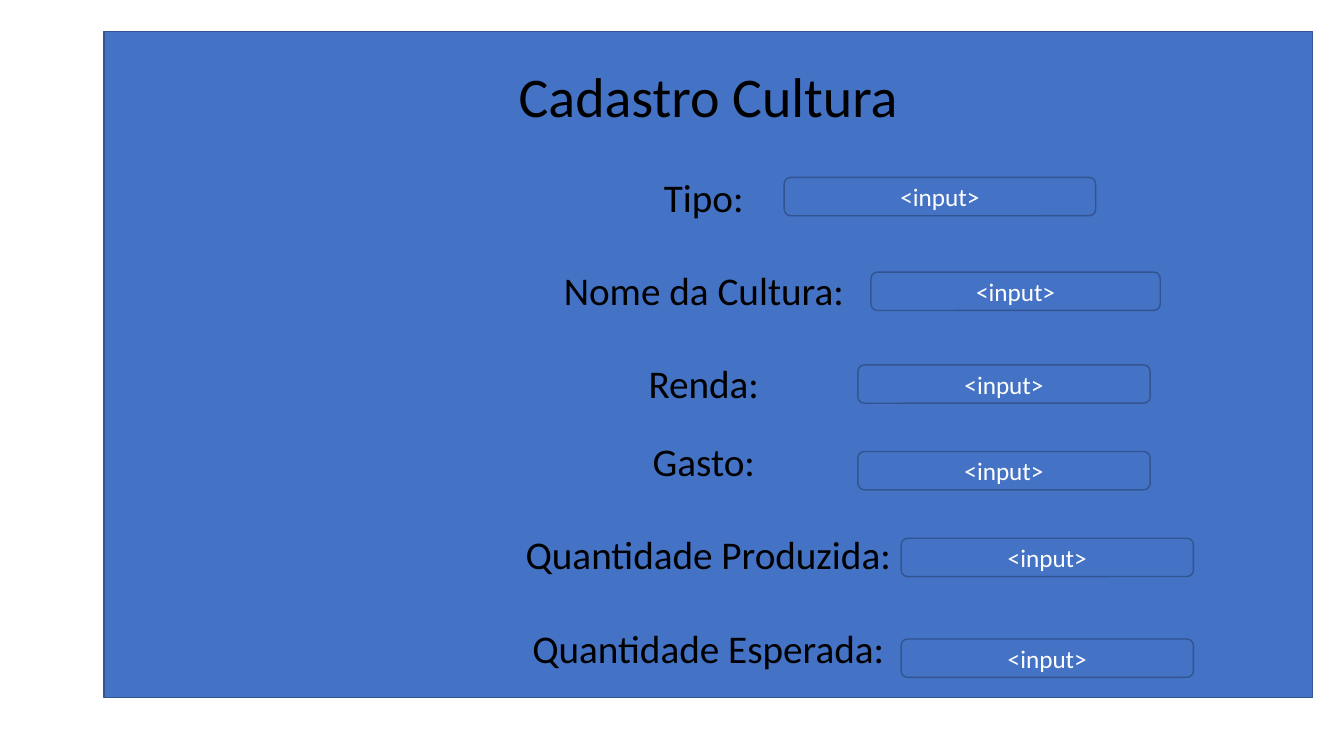
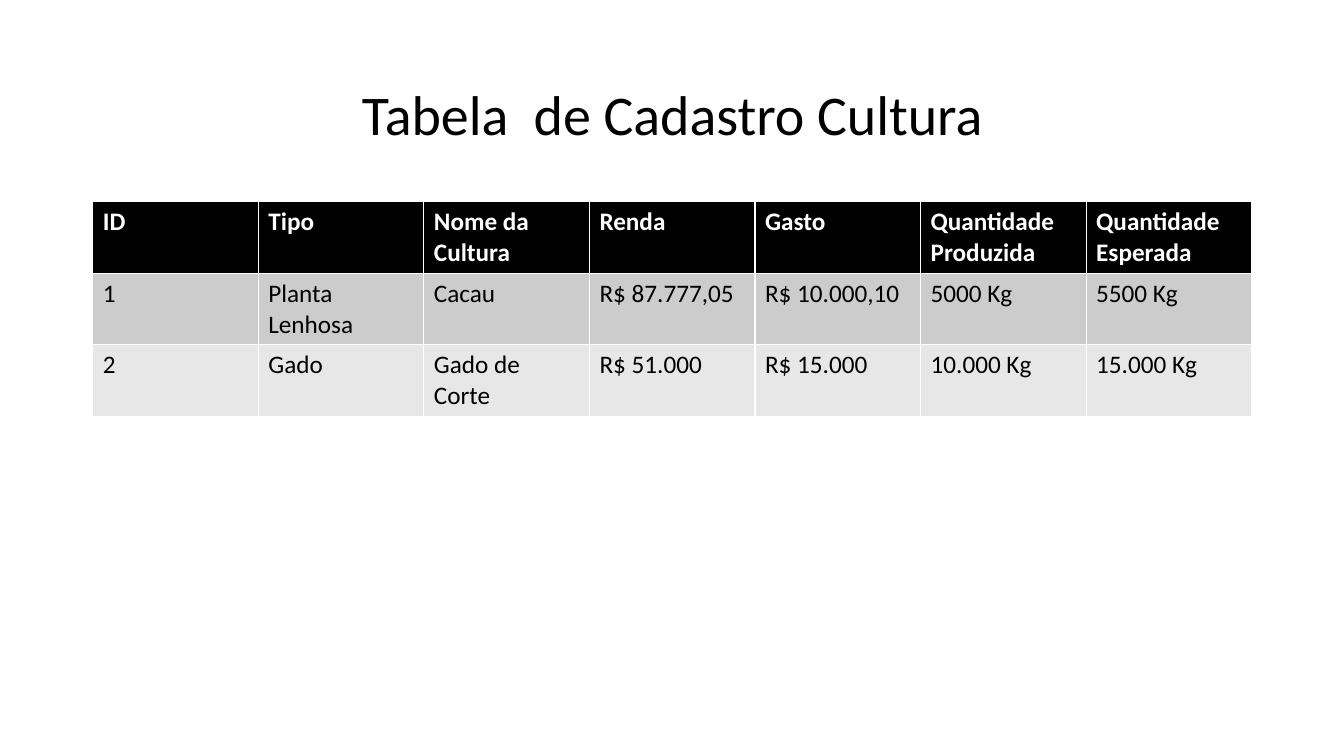
from pptx import Presentation
from pptx.dml.color import RGBColor
from pptx.enum.shapes import MSO_SHAPE as Shape
from pptx.enum.text import MSO_ANCHOR as Anchor, MSO_AUTO_SIZE as Fit, PP_ALIGN as Align
from pptx.oxml.ns import qn
from pptx.util import Inches, Pt

BLUE = RGBColor(0x44, 0x72, 0xC4)
NAVY = RGBColor(0x32, 0x54, 0x91)
BLACK = RGBColor(0, 0, 0)
WHITE = RGBColor(0xFF, 0xFF, 0xFF)
GREY = RGBColor(0xCC, 0xCC, 0xCC)
PALE = RGBColor(0xE7, 0xE7, 0xE7)
FONT = "Calibri"

deck = Presentation()
deck.slide_width, deck.slide_height = Inches(13.33), Inches(7.5)


def area(x, y, w, h):
    """Turn percentages of the slide into left, top, width and height."""
    wide, high = deck.slide_width, deck.slide_height
    return [int(part * full / 100) for part, full in zip((x, y, w, h), (wide, high) * 2)]


def put(item, box, text, size, color=BLACK, anchor=Anchor.MIDDLE):
    """Place a shape and write its centred lines."""
    item.left, item.top, item.width, item.height = area(*box)
    frame = item.text_frame
    frame.text = text
    frame.word_wrap = True
    frame.auto_size = Fit.NONE
    frame.vertical_anchor = anchor
    for par in frame.paragraphs:
        par.alignment = Align.CENTER
        par.font.name, par.font.size, par.font.color.rgb = FONT, Pt(size), color
    return frame


# Slide 1: entry form
LEFT, TOP, WIDE, HIGH = 7.73, 4.13, 89.93, 88.13
LIST = 22.9  # top of the label list

# label, space before in points, then left, top and width of its input
fields = [
    ("Tipo: ", 0, 58.35, 23.47, 23.18),
    ("Nome da Cultura: ", 33, 64.8, 36, 21.53),
    ("Renda: ", 33, 63.83, 48.27, 21.75),
    ("Gasto: ", 22, 63.83, 59.73, 21.75),
    ("Quantidade Produzida:", 33, 67.05, 71.2, 21.75),
    ("Quantidade Esperada:", 33, 67.05, 84.53, 21.75),
]

form = deck.slides.add_slide(deck.slide_layouts[1])
title, body = form.placeholders
panel = form.shapes.add_shape(Shape.RECTANGLE, *area(LEFT, TOP, WIDE, HIGH))
form.shapes._spTree.insert(2, panel._element)  # behind the placeholders
boxes = [panel]

put(title, (LEFT, TOP, WIDE, 17), "Cadastro Cultura", 40)
labels = put(body, (LEFT, LIST, WIDE, TOP + HIGH - LIST),
             "\n".join(field[0] for field in fields), 28, anchor=Anchor.TOP)
labels.margin_top = 0

for par, (_, gap, x, y, w) in zip(labels.paragraphs, fields):
    par.space_before = Pt(gap)
    props = par._p.get_or_add_pPr()
    props.set("marL", "0")
    props.set("indent", "0")
    props.append(props.makeelement(qn("a:buNone"), {}))
    place = (x, y, w, 5.07)
    entry = form.shapes.add_shape(Shape.ROUNDED_RECTANGLE, *area(*place))
    put(entry, place, "<input>", 18, WHITE)
    boxes.append(entry)

for box in boxes:
    box.shadow.inherit = False
    box.fill.solid()
    box.fill.fore_color.rgb = BLUE
    box.line.color.rgb, box.line.width = NAVY, Pt(1)

# Slide 2: table of records
rows = [
    ("ID", "Tipo", "Nome da Cultura", "Renda", "Gasto",
     "Quantidade Produzida", "Quantidade Esperada"),
    ("1", "Planta Lenhosa", "Cacau", "R$ 87.777,05", "R$ 10.000,10", "5000 Kg", "5500 Kg"),
    ("2", "Gado", "Gado de Corte", "R$ 51.000", "R$ 15.000", "10.000 Kg", "15.000 Kg"),
]
looks = [(BLACK, WHITE), (GREY, BLACK), (PALE, BLACK)]

page = deck.slides.add_slide(deck.slide_layouts[5])
put(page.shapes.title, (6.9, 5.33, 86.25, 19.33), "Tabela  de Cadastro Cultura", 40)
table = page.shapes.add_table(len(rows), len(rows[0]), *area(6.9, 26.67, 86.25, 28)).table
for r, (row, (fill, ink)) in enumerate(zip(rows, looks)):
    for c, text in enumerate(row):
        cell = table.cell(r, c)
        cell.text = text
        cell.fill.solid()
        cell.fill.fore_color.rgb = fill
        font = cell.text_frame.paragraphs[0].font
        font.name, font.size, font.color.rgb, font.bold = FONT, Pt(18), ink, r == 0

deck.save("out.pptx")
